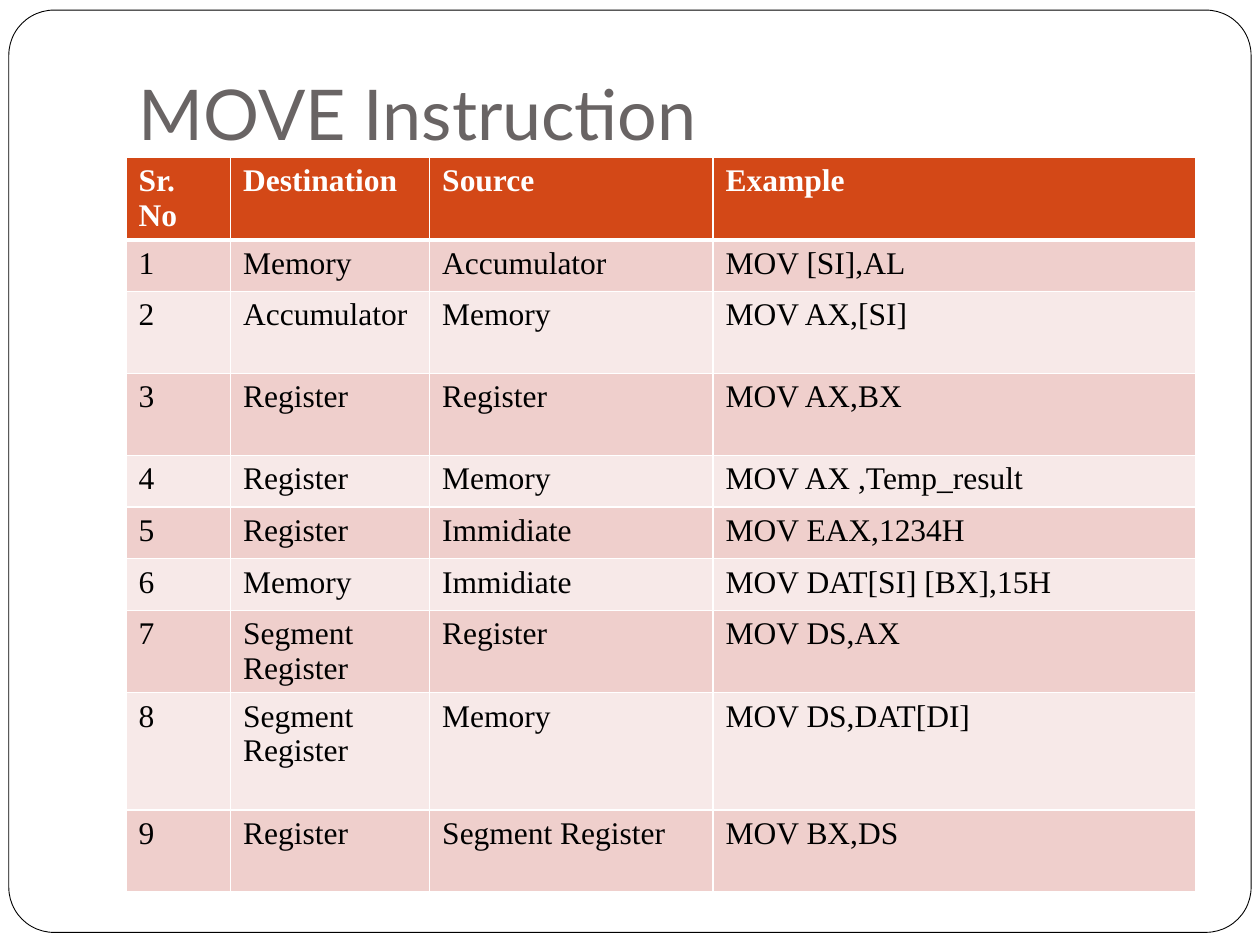
from pptx import Presentation, util as u
from pptx.dml.color import RGBColor
from pptx.enum import shapes, text
from pptx.oxml import parse_xml
from pptx.oxml.ns import nsdecls

WHITE = RGBColor(0xFF, 0xFF, 0xFF)
BLACK = RGBColor(0, 0, 0)
GREY = RGBColor(0x69, 0x64, 0x64)
RUST = RGBColor(0xD3, 0x48, 0x17)
ROSE = RGBColor(0xEF, 0xCF, 0xCC)
PALE = RGBColor(0xF7, 0xE9, 0xE8)

COLS = [0.83, 1.58, 2.25, 3.83]
LOW, TALL, DEEP = 0.41, 0.65, 0.93
HEAD = ["Sr. No", "Destination", "Source", "Example"]
MOVES = [
    (LOW, "Memory", "Accumulator", "MOV [SI],AL"),
    (TALL, "Accumulator", "Memory", "MOV AX,[SI]"),
    (TALL, "Register", "Register", "MOV AX,BX"),
    (LOW, "Register", "Memory", "MOV AX ,Temp_result"),
    (LOW, "Register", "Immidiate", "MOV EAX,1234H"),
    (LOW, "Memory", "Immidiate", "MOV DAT[SI] [BX],15H"),
    (TALL, "Segment Register", "Register", "MOV DS,AX"),
    (DEEP, "Segment Register", "Memory", "MOV DS,DAT[DI]"),
    (TALL, "Register", "Segment Register", "MOV BX,DS"),
]


def style(item, **vals):
    for key, val in vals.items():
        setattr(item, key, val)


def place(box):
    return [u.Inches(v) for v in box]


def frame(slide, box):
    rim = slide.shapes.add_shape(shapes.MSO_SHAPE.ROUNDED_RECTANGLE, *place(box))
    rim.adjustments[0] = 0.049
    rim.shadow.inherit = False
    rim.fill.solid()
    rim.fill.fore_color.rgb = WHITE
    rim.line.color.rgb = BLACK
    rim.line.width = u.Pt(0.5)
    slide.shapes._spTree.insert(2, rim._element)


def title(slide, box, words):
    head = slide.shapes.title
    style(head, **dict(zip(("left", "top", "width", "height"), place(box))))
    body = head.text_frame
    body.text = words
    style(body, word_wrap=True, auto_size=text.MSO_AUTO_SIZE.NONE,
          vertical_anchor=text.MSO_ANCHOR.BOTTOM,
          margin_left=u.Inches(0.1), margin_right=u.Inches(0.1),
          margin_top=u.Inches(0.05), margin_bottom=u.Inches(0.1))
    para = body.paragraphs[0]
    para.alignment = text.PP_ALIGN.LEFT
    style(para.runs[0].font, name="Lato", size=u.Pt(40), bold=False)
    para.runs[0].font.color.rgb = GREY


def border(cell, sides):
    props = cell._tc.get_or_add_tcPr()
    for spot, (side, wide) in enumerate(sides.items()):
        props.insert(spot, parse_xml(
            f'<a:ln{side} {nsdecls("a")} w="{u.Pt(wide)}"><a:solidFill>'
            f'<a:srgbClr val="{WHITE}"/></a:solidFill></a:ln{side}>'))


def fill(cell, words, back, ink, bold, sides):
    cell.text = words
    cell.fill.solid()
    cell.fill.fore_color.rgb = back
    run = cell.text_frame.paragraphs[0].runs[0]
    style(run.font, name="Times New Roman", size=u.Pt(18), bold=bold)
    run.font.color.rgb = ink
    border(cell, sides)


def table(slide, box):
    highs = [TALL] + [move[0] for move in MOVES]
    rows = [HEAD] + [(str(n), *move[1:]) for n, move in enumerate(MOVES, 1)]
    grid = slide.shapes.add_table(len(rows), len(COLS), *place(box)).table
    for col, wide in zip(grid.columns, COLS):
        col.width = u.Inches(wide)
    for r, (words, high) in enumerate(zip(rows, highs)):
        grid.rows[r].height = u.Inches(high)
        top = r == 0
        back = RUST if top else (PALE, ROSE)[r % 2]
        sides = {"L": 1, "R": 1, "T": 3 if r == 1 else 1, "B": 3 if top else 1}
        for c, word in enumerate(words):
            cell = grid.cell(r, c)
            fill(cell, word, back, WHITE if top else BLACK, top, sides)
            if c == 0 and not top:
                props = cell.text_frame.paragraphs[0]._p.get_or_add_pPr()
                props.set("marL", str(u.Inches(0.38)))
                props.set("indent", str(-u.Inches(0.38)))


def main():
    deck = Presentation()
    style(deck, slide_width=u.Inches(10), slide_height=u.Inches(7.5))
    slide = deck.slides.add_slide(deck.slide_layouts[5])
    frame(slide, (0.07, 0.08, 9.86, 7.32))
    title(slide, (1, 0.3, 8.5, 1.03), "MOVE Instruction")
    table(slide, (1, 1.25, 8.5, 5.83))
    deck.save("out.pptx")


main()
